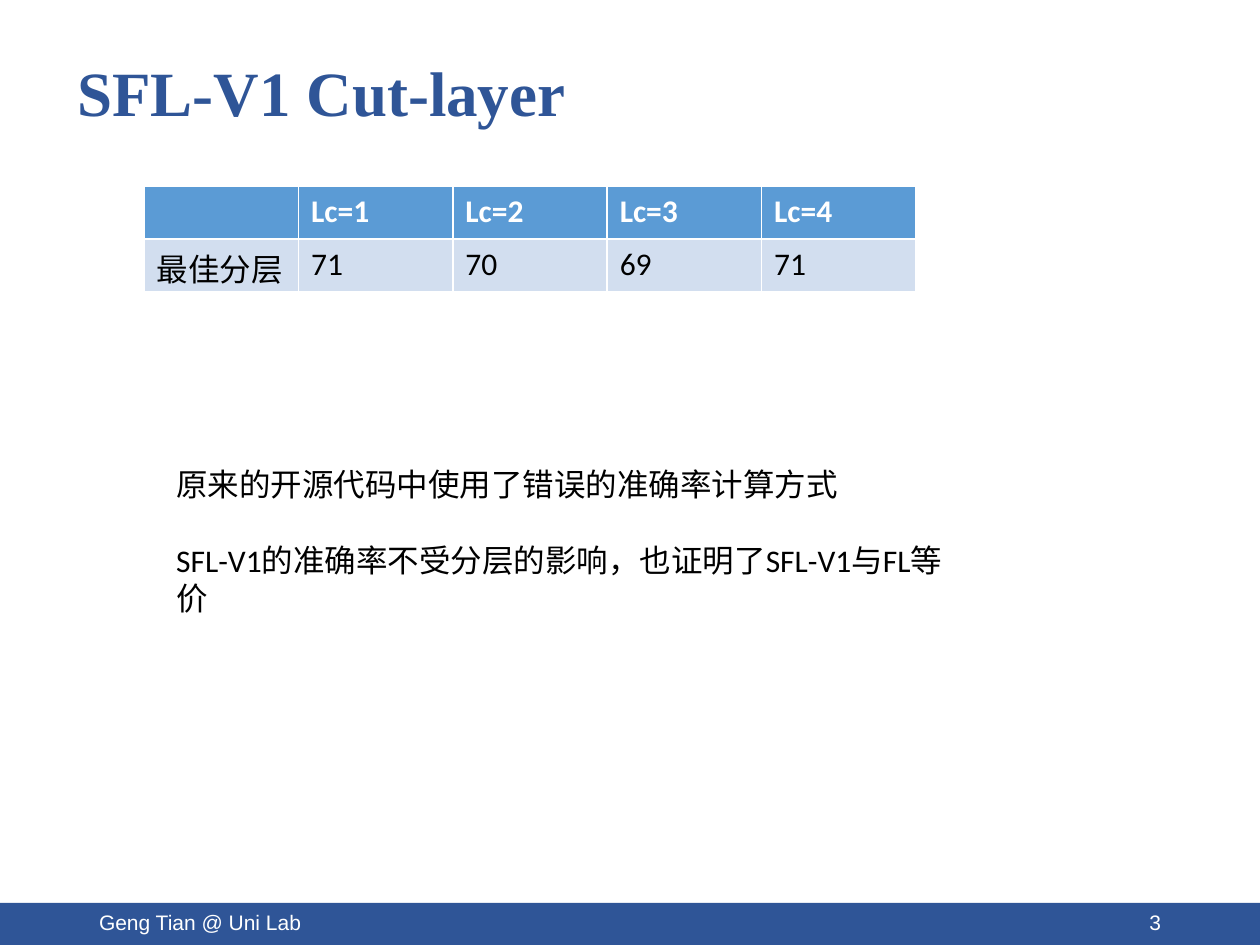
from pptx import Presentation
from pptx.dml.color import RGBColor
from pptx.enum.shapes import MSO_SHAPE
from pptx.enum.text import MSO_ANCHOR, PP_ALIGN
from pptx.util import Pt

NAVY = RGBColor(0x2F, 0x55, 0x97)
HEADER_BLUE = RGBColor(0x5B, 0x9B, 0xD5)
ROW_BLUE = RGBColor(0xD2, 0xDE, 0xEF)
WHITE = RGBColor(0xFF, 0xFF, 0xFF)
BLACK = RGBColor(0x00, 0x00, 0x00)

RECTANGLE = MSO_SHAPE.RECTANGLE
TOP, MIDDLE = MSO_ANCHOR.TOP, MSO_ANCHOR.MIDDLE
LEFT, RIGHT = PP_ALIGN.LEFT, PP_ALIGN.RIGHT

RESULTS = [
    ["", "Lc=1", "Lc=2", "Lc=3", "Lc=4"],
    ["最佳分层", "71", "70", "69", "71"],
]
FINDINGS = [
    "原来的开源代码中使用了错误的准确率计算方式",
    "SFL-V1的准确率不受分层的影响，也证明了SFL-V1与FL等价",
]


def write_text(frame, paragraphs, size=18, font="Calibri", color=BLACK, bold=False,
               align=LEFT, anchor=TOP, line_spacing=None, gap=0):
    """Fill a text frame with evenly formatted paragraphs."""
    frame.word_wrap = True
    frame.vertical_anchor = anchor
    for index, words in enumerate(paragraphs):
        paragraph = frame.add_paragraph() if index else frame.paragraphs[0]
        paragraph.alignment = align
        paragraph.line_spacing = line_spacing
        paragraph.space_before = Pt(gap if index else 0)
        run = paragraph.add_run()
        run.text = words
        run.font.size = Pt(size)
        run.font.name = font
        run.font.bold = bold
        run.font.color.rgb = color


def add_text(slide, box, paragraphs, **text_format):
    """Place a text box in the given box."""
    frame = slide.shapes.add_textbox(*map(Pt, box)).text_frame
    write_text(frame, paragraphs, **text_format)


def add_title(slide, box):
    """Place the slide heading."""
    add_text(slide, box, ["SFL-V1 Cut-layer"], size=36, font="Times New Roman",
             color=NAVY, bold=True, anchor=MIDDLE, line_spacing=0.9)


def add_results(slide, box):
    """Place the accuracy table with equal columns and rows."""
    table = slide.shapes.add_table(len(RESULTS), len(RESULTS[0]), *map(Pt, box)).table
    for row_index, values in enumerate(RESULTS):
        is_header = row_index == 0
        for column_index, value in enumerate(values):
            cell = table.cell(row_index, column_index)
            cell.fill.solid()
            cell.fill.fore_color.rgb = HEADER_BLUE if is_header else ROW_BLUE
            if value:
                write_text(cell.text_frame, [value], bold=is_header,
                           color=WHITE if is_header else BLACK)


def add_findings(slide, box):
    """Place the two conclusions below the table."""
    add_text(slide, box, FINDINGS, gap=22)


def add_footer(slide, box):
    """Place the footer band with author and page number."""
    left, top, width, height = box
    band = slide.shapes.add_shape(RECTANGLE, *map(Pt, box))
    band.shadow.inherit = False
    band.fill.solid()
    band.fill.fore_color.rgb = NAVY
    band.line.fill.background()
    label_width, label_height, margin = 162, 28.75, 50.5
    label_top = top + height / 2 - label_height / 2 - 1.2
    labels = [
        (left + margin, "Geng Tian @ Uni Lab", LEFT),
        (left + width - margin - label_width, "3", RIGHT),
    ]
    for label_left, words, align in labels:
        add_text(slide, (label_left, label_top, label_width, label_height), [words],
                 size=12, font="Arial", color=WHITE, align=align, anchor=MIDDLE)


def main():
    """Build and save the slide."""
    deck = Presentation()
    deck.slide_width, deck.slide_height = Pt(720), Pt(540)
    slide = deck.slides.add_slide(deck.slide_layouts[6])
    add_footer(slide, (-1, 516, 722, 24))
    add_title(slide, (37.2, 19.4, 621, 70.5))
    add_results(slide, (82.4, 106.6, 441, 60))
    add_findings(slide, (93.6, 262, 458.6, 94.5))
    deck.save("out.pptx")


if __name__ == "__main__":
    main()
